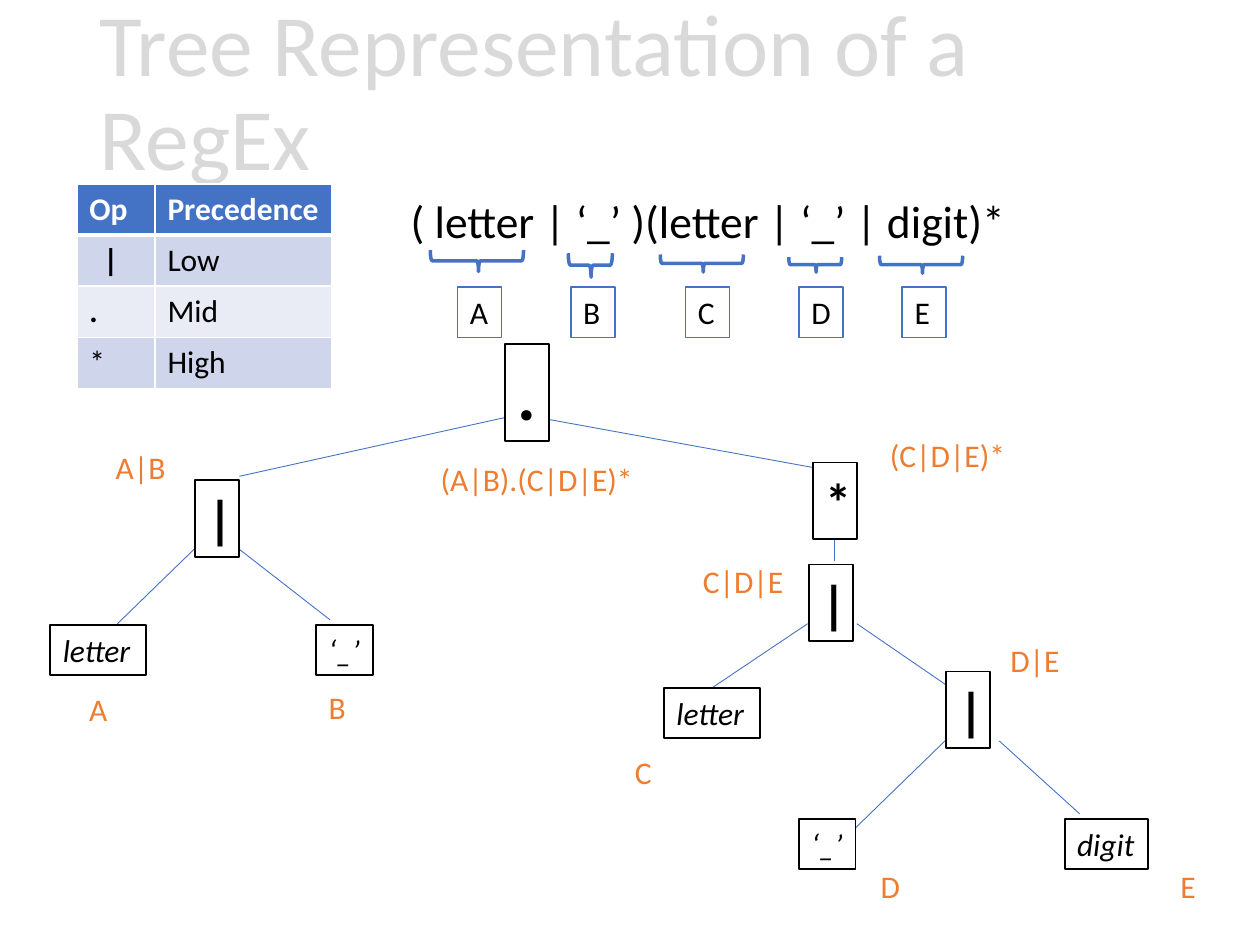
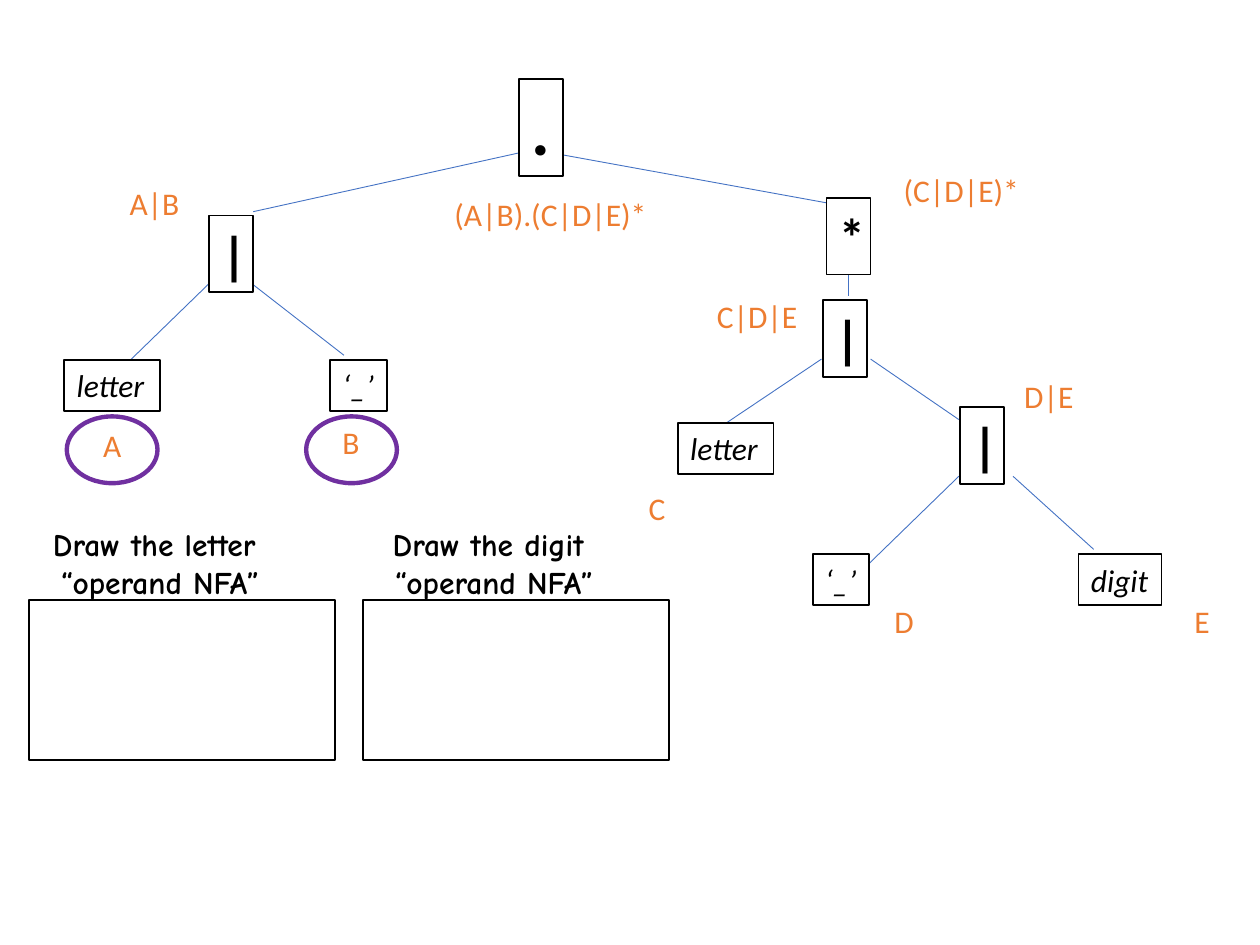
from dataclasses import dataclass
from lxml.etree import SubElement as Sub
from pptx import Presentation
from pptx.dml.color import RGBColor as RGB
from pptx.enum.shapes import MSO_CONNECTOR as Wire, MSO_SHAPE as Form
from pptx.enum.text import MSO_ANCHOR as Anchor, MSO_AUTO_SIZE as Fit, PP_ALIGN as Align
from pptx.oxml.ns import qn
from pptx.util import Inches, Pt

COLS, ROWS = 100, 75  # grid of the slide: one cell is a tenth of an inch


@dataclass(frozen=True)
class Theme:
    """Colours, fonts and type sizes."""
    ink: str = "000000"
    paper: str = "FFFFFF"
    pale: str = "D9D9D9"
    blue: str = "4472C4"
    orange: str = "ED7D31"
    purple: str = "7030A0"
    bands: tuple = ("CFD5EA", "E9EBF5")
    font: str = "Calibri"
    hand: str = "Comic Neue"
    head: int = 50
    dot: int = 40
    sign: int = 30
    lead: int = 26
    body: int = 18


class Pen:
    """Draws on the current slide in grid cells, in one style."""

    def __init__(self, deck, theme):
        """Keep the deck and the theme."""
        self.deck, self.theme = deck, theme
        self.cell = deck.slide_width / COLS
        self.shift = (0, 0)

    def page(self, layout):
        """Start a slide with the given layout."""
        self.slide = self.deck.slides.add_slide(self.deck.slide_layouts[layout])
        self.host = self.slide.shapes

    def group(self, dx=0, dy=0):
        """Send the next shapes to a new group, moved by dx and dy."""
        self.host = self.slide.shapes.add_group_shape().shapes
        self.shift = (dx, dy)

    def free(self):
        """Go back to drawing on the slide itself."""
        self.host, self.shift = self.slide.shapes, (0, 0)

    def place(self, x, y):
        """Turn a grid point into a slide point."""
        return [round((v + d) * self.cell) for v, d in zip((x, y), self.shift)]

    def area(self, x, y, w, h):
        """Turn a grid box into slide lengths."""
        return self.place(x, y) + [round(w * self.cell), round(h * self.cell)]

    def style(self, para, text, size=None, color=None, bold=False, slant=False, font=None):
        """Add one styled run to a paragraph."""
        run = para.add_run()
        run.text = text
        face = run.font
        face.name, face.size = font or self.theme.font, Pt(size or self.theme.body)
        face.bold, face.italic = bold, slant
        face.color.rgb = RGB.from_string(color or self.theme.ink)
        return run

    def label(self, shape, lines, align=Align.LEFT, wrap=True, **look):
        """Fill a shape with one paragraph per line."""
        frame = shape.text_frame
        frame.word_wrap, frame.auto_size = wrap, Fit.SHAPE_TO_FIT_TEXT
        frame.vertical_anchor = Anchor.TOP
        for i, line in enumerate(lines):
            para = frame.add_paragraph() if i else frame.paragraphs[0]
            para.alignment = align
            self.style(para, line, **look)

    def title(self, text, box):
        """Move and format the title placeholder."""
        shape = self.slide.shapes.title
        shape.left, shape.top, shape.width, shape.height = self.area(*box)
        frame = shape.text_frame
        frame.word_wrap, frame.auto_size = True, Fit.NONE
        frame.vertical_anchor = Anchor.MIDDLE
        para = frame.paragraphs[0]
        para.alignment, para.line_spacing = Align.LEFT, 0.9
        run = self.style(para, text, self.theme.head, self.theme.pale)
        props = run._r.get_or_add_rPr()
        rim = Sub(props, qn("a:ln"), w=str(Pt(1)))
        Sub(Sub(rim, qn("a:solidFill")), qn("a:srgbClr"), val=self.theme.ink)
        props.insert(0, rim)

    def form(self, kind, box, line=None, width=1, fill=None):
        """Add a preset shape with plain fill and line."""
        shape = self.host.add_shape(kind, *self.area(*box))
        shape.shadow.inherit = False
        if fill:
            shape.fill.solid()
            shape.fill.fore_color.rgb = RGB.from_string(fill)
        else:
            shape.fill.background()
        if line:
            shape.line.color.rgb = RGB.from_string(line)
            shape.line.width = Pt(width)
        else:
            shape.line.fill.background()
        return shape

    def box(self, box, text="", line=None, **look):
        """Add a white box, with text if there is any."""
        shape = self.form(Form.RECTANGLE, box, line, fill=self.theme.paper)
        if text:
            self.label(shape, [text], **look)

    def note(self, box, lines, **look):
        """Add a text box."""
        self.label(self.host.add_textbox(*self.area(*box)), lines, **look)

    def edge(self, start, end):
        """Add a thin line between two points."""
        line = self.host.add_connector(Wire.STRAIGHT, *self.place(*start), *self.place(*end))
        line.line.color.rgb = RGB.from_string(self.theme.blue)
        line.line.width = Pt(0.5)
        Sub(line._element.spPr, qn("a:effectLst"))

    def brace(self, x, y, span, depth):
        """Add a brace that points down, centred on x and y."""
        box = (x - depth / 2, y - span / 2, depth, span)
        shape = self.form(Form.RIGHT_BRACE, box, self.theme.blue, 2)
        shape.adjustments[0], shape.adjustments[1] = 0.083, 0.483
        shape.rotation = 90

    def ring(self, box):
        """Add an unfilled ellipse."""
        self.form(Form.OVAL, box, self.theme.purple, 2.5)

    def rule(self, cell, side, width):
        """Draw one white border of a table cell."""
        line = Sub(cell._tc.get_or_add_tcPr(), qn("a:ln" + side), w=str(Pt(width)))
        Sub(Sub(line, qn("a:solidFill")), qn("a:srgbClr"), val=self.theme.paper)

    def table(self, x, y, widths, high, rows):
        """Add a banded table; a row holds pairs of text and bold."""
        size = (sum(widths), high * len(rows))
        grid = self.host.add_table(len(rows), len(widths), *self.area(x, y, *size)).table
        for col, wide in zip(grid.columns, widths):
            col.width = round(wide * self.cell)
        for r, row in enumerate(rows):
            grid.rows[r].height = round(high * self.cell)
            for c, (text, bold) in enumerate(row):
                cell = grid.cell(r, c)
                for side in "LRTB":
                    thick = (r, side) in ((0, "B"), (1, "T"))
                    self.rule(cell, side, 3 if thick else 1)
                cell.fill.solid()
                tint = self.theme.bands[(r - 1) % 2] if r else self.theme.blue
                cell.fill.fore_color.rgb = RGB.from_string(tint)
                color = self.theme.ink if r else self.theme.paper
                self.style(cell.text_frame.paragraphs[0], text, color=color, bold=bold)
        grid.cell(1, 0).margin_left = Inches(0.21)


EDGES = [
    ((40.7, 33), (19, 37.8)), ((43.6, 33.3), (64.5, 37.1)),
    ((15.5, 43.5), (8.4, 50.4)), ((26.2, 49.2), (19, 43.6)),
    ((64.1, 49.5), (56.5, 54.6)), ((75, 54.3), (68, 49.5)),
    ((66.2, 41), (66.2, 44.5)), ((75, 58.8), (67.8, 65.8)),
    ((85.7, 64.6), (79.3, 58.8)),
]
SIGNS = [(15.5, 38.1, "|"), (64.2, 44.8, "|"), (75.1, 53.3, "|"), (64.5, 36.7, "*")]
LEAVES = [
    (4, 49.6, 7.6, "letter"), (25.1, 49.6, 4.5, "‘_’"), (52.7, 54.6, 7.6, "letter"),
    (63.4, 65, 4.5, "‘_’"), (84.5, 65, 6.6, "digit"),
]
TAGS = [  # x, y, width, text, wrap, align
    (6.1, 54.3, 3.5, "A", False, Align.LEFT), (25.1, 54.1, 3.4, "B", False, Align.LEFT),
    (49.4, 59.3, 3.4, "C", False, Align.LEFT), (68.9, 68.3, 3.6, "D", False, Align.LEFT),
    (92.7, 68.3, 3.2, "E", False, Align.LEFT), (8.2, 35.1, 6, "A|B", False, Align.LEFT),
    (54.8, 44.1, 8.5, "C|D|E", True, Align.LEFT), (79.2, 50.4, 6.2, "D|E", True, Align.LEFT),
    (68.9, 34.1, 12.6, "(C|D|E)*", True, Align.CENTER),
    (33.9, 36, 17.4, "(A|B).(C|D|E)*", True, Align.CENTER),
]
SPANS = [  # letter, box x, then brace: x, y, span, depth
    ("A", 36.3, 37.85, 20.7, 7.4, 1.7), ("B", 45.3, 46.85, 21.05, 3.5, 1.9),
    ("C", 54.4, 55.7, 20.9, 6.6, 1.4), ("D", 63.4, 64.7, 21, 4.2, 1.2),
    ("E", 71.6, 73.1, 21, 6.6, 1.4),
]
OPS = [
    [("Op", True), ("Precedence", True)],
    [("|", True), ("Low", False)],
    [(".", True), ("Mid", False)],
    [("*", False), ("High", False)],
]


def tree(pen, dx=0, dy=0):
    """Draw the syntax tree, moved by dx and dy."""
    look, wide, high = pen.theme, 3.5, 4
    pen.group(dx, dy)
    for start, end in EDGES:
        pen.edge(start, end)
    pen.box((40.1, 27.3, wide, 7.7), ".", look.ink, size=look.dot, bold=True)
    for x, y, text in SIGNS:
        pen.box((x, y, wide, 6.1), text, look.ink, size=look.sign, bold=True)
    for x, y, w, text in LEAVES:
        pen.box((x, y, w, high), text, look.ink, slant=True, wrap=False)
    for x, y, w, text, wrap, align in TAGS:
        pen.box((x, y, w, high), text, color=look.orange, wrap=wrap, align=align)
    pen.free()


def parts(pen):
    """Slide 1: the expression, its operands and its tree."""
    look = pen.theme
    pen.page(5)
    pen.title("Tree Representation of a RegEx", (6.9, 0.3, 89.1, 14.5))
    pen.table(6.1, 14.6, (6.2, 14), 4.06, OPS)
    pen.note((31.6, 14.8, 49.9, 5.4), ["( letter | ‘_’ )(letter | ‘_’ | digit)*"],
             wrap=False, size=look.lead)
    for text, left, *bend in SPANS:
        pen.group()
        pen.brace(*bend)
        pen.box((left, 22.8, 3.5, 4), text, look.blue)
    pen.free()
    tree(pen)


def task(pen):
    """Slide 2: the tree again, with two panels to draw in."""
    look = pen.theme
    pen.page(6)
    for i, word in enumerate(("letter", "digit")):
        x = 2.3 + 26.5 * i
        pen.box((x, 47.6, 24.3, 12.7), line=look.ink)
        pen.note((x - 7.8, 41.2, 35.5, 7.1), [f"Draw the {word}", " “operand NFA”"],
                 align=Align.CENTER, font=look.hand, bold=True)
    tree(pen, 1.1, -21)
    for x in (5.3, 24.3):
        pen.ring((x, 33.05, 7.2, 5.3))


def main():
    """Build and save the deck."""
    deck = Presentation()
    deck.slide_width, deck.slide_height = Inches(COLS / 10), Inches(ROWS / 10)
    pen = Pen(deck, Theme())
    parts(pen)
    task(pen)
    deck.save("out.pptx")


main()
